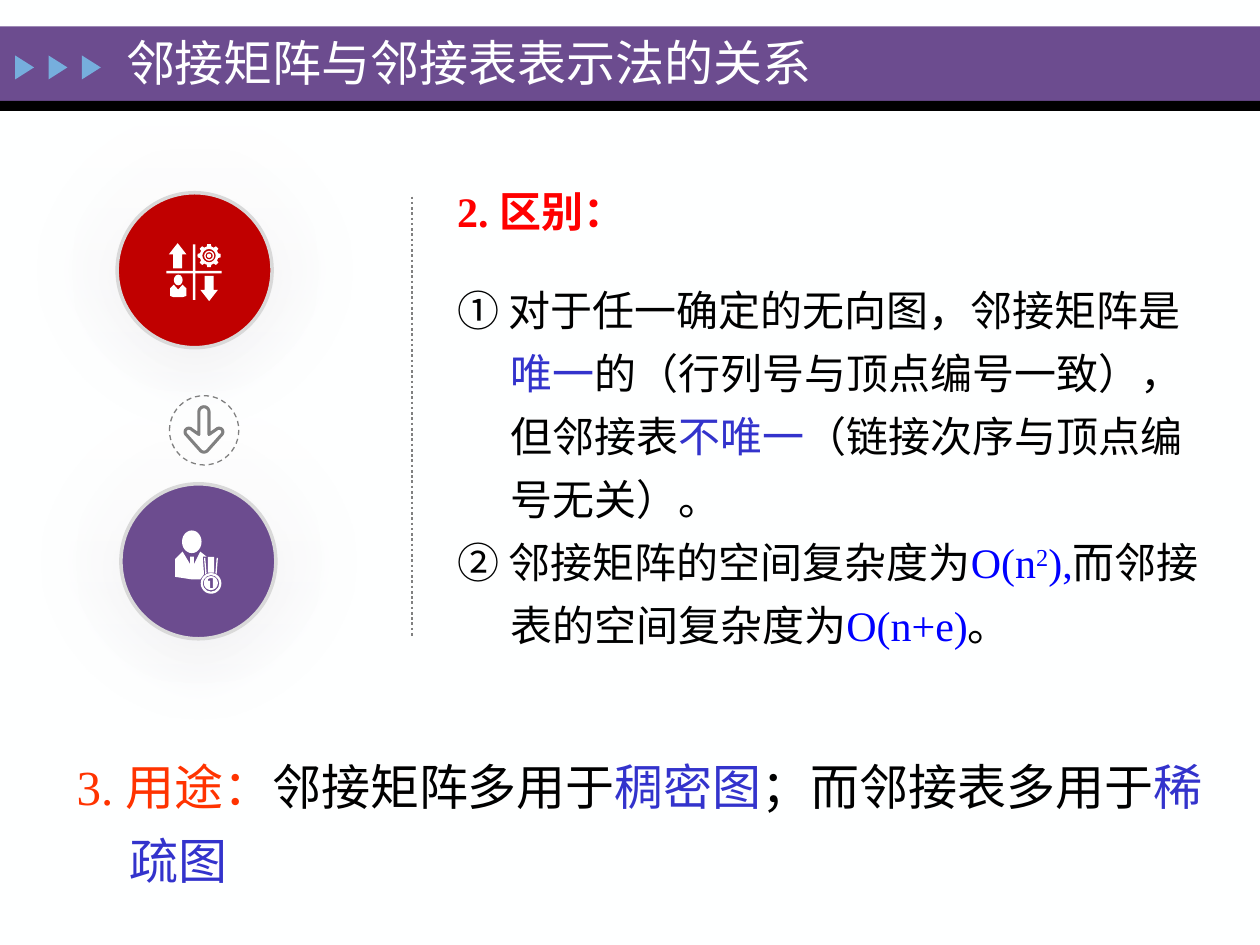
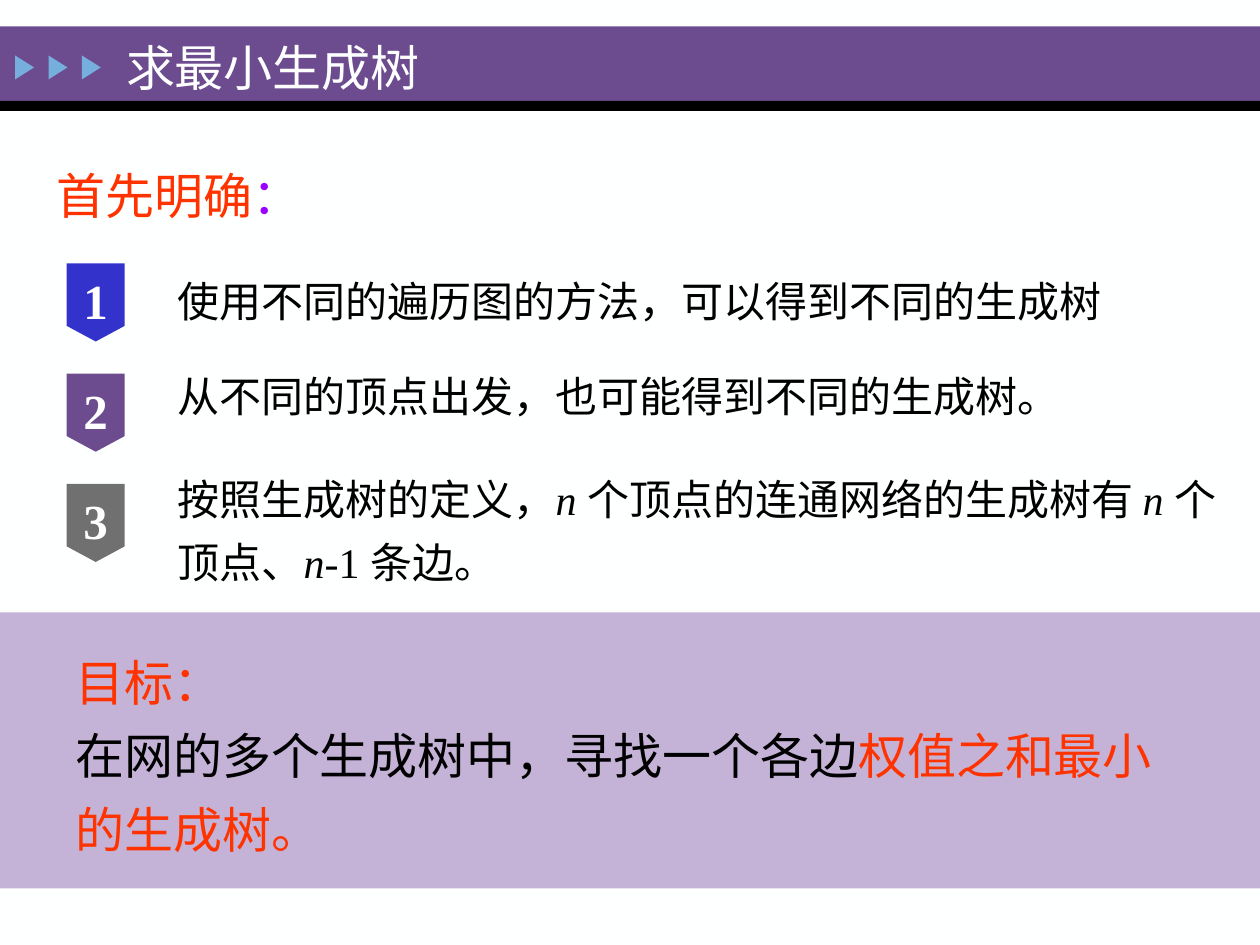
from math import cos, radians, sin

from lxml import etree
from pptx import Presentation
from pptx.dml.color import RGBColor
from pptx.enum.dml import MSO_LINE
from pptx.enum.lang import MSO_LANGUAGE_ID
from pptx.enum.shapes import MSO_CONNECTOR, MSO_SHAPE
from pptx.enum.text import MSO_ANCHOR, MSO_AUTO_SIZE, PP_ALIGN
from pptx.oxml.ns import qn
from pptx.util import Inches, Pt

RECT, OVAL, RING = MSO_SHAPE.RECTANGLE, MSO_SHAPE.OVAL, MSO_SHAPE.DONUT
UP, DOWN = MSO_SHAPE.UP_ARROW, MSO_SHAPE.DOWN_ARROW
TAG, WEDGE = MSO_SHAPE.FLOWCHART_OFFPAGE_CONNECTOR, MSO_SHAPE.ISOSCELES_TRIANGLE
STRAIGHT = MSO_CONNECTOR.STRAIGHT
DASH, DOTS = MSO_LINE.DASH, MSO_LINE.ROUND_DOT
TOP, MIDDLE = MSO_ANCHOR.TOP, MSO_ANCHOR.MIDDLE
LEFT, CENTER = PP_ALIGN.LEFT, PP_ALIGN.CENTER
FIXED = MSO_AUTO_SIZE.NONE
CHINESE = MSO_LANGUAGE_ID.SIMPLIFIED_CHINESE

FONT = "Times New Roman"
PAPER = RGBColor(0xFE, 0xFF, 0xFF)
WHITE = RGBColor(0xFF, 0xFF, 0xFF)
BLACK = RGBColor(0, 0, 0)
PURPLE = RGBColor(0x6C, 0x4C, 0x8F)
LILAC = RGBColor(0xC4, 0xB3, 0xD7)
SKY = RGBColor(0x76, 0xAE, 0xDD)
CRIMSON = RGBColor(0xC0, 0, 0)
RED = RGBColor(0xFF, 0, 0)
ORANGE = RGBColor(0xFF, 0x33, 0)
BLUE = RGBColor(0, 0, 0xFF)
INDIGO = RGBColor(0x33, 0x33, 0xCC)
VIOLET = RGBColor(0x99, 0, 0xFF)
GRAY = RGBColor(0x80, 0x80, 0x80)
SLATE = RGBColor(0x70, 0x70, 0x70)
RIM = RGBColor(0xD9, 0xD9, 0xD9)
MIST = RGBColor(0xF7, 0xF7, 0xF9)
SHADE = RGBColor(0xE4, 0xE4, 0xE4)

# The grid has 100 columns and 75 rows; every length below is in its cells.
COLS, ROWS = 100, 75


def cells(*counts):
    return [Inches(n / 10) for n in counts]


# Shapes
def paint(item, fill=None, line=None, width=1):
    item.shadow.inherit = False
    if fill is None:
        item.fill.background()
    else:
        item.fill.solid()
        item.fill.fore_color.rgb = fill
    if line is None:
        item.line.fill.background()
    else:
        item.line.color.rgb = line
        item.line.width = Pt(width)
    return item


def shape(slide, kind, box, fill=None, line=None, width=1):
    item = slide.shapes.add_shape(kind, *cells(*box))
    return paint(item, fill, line, width)


def disc(slide, x, y, r, fill=None, line=None, width=1, kind=OVAL):
    box = (x - r, y - r, 2 * r, 2 * r)
    return shape(slide, kind, box, fill, line, width)


def outline(slide, *paths, fill=WHITE, line=None, width=1):
    """Closed outline; paths after the first one cut holes."""
    paths = [[(x * 100, y * 100) for x, y in path] for path in paths]
    pen = slide.shapes.build_freeform(*paths[0][0], scale=Inches(0.001))
    for i, path in enumerate(paths):
        if i:
            pen.move_to(*path[0])
        pen.add_line_segments(path[1:], close=True)
    return paint(pen.convert_to_shape(), fill, line, width)


def arc(x, y, r, start=0, end=360, steps=16):
    turns = [radians(start + (end - start) * i / steps) for i in range(steps + 1)]
    return [(x + r * cos(t), y + r * sin(t)) for t in turns]


def halo(slide, x, y, r, edge, soft):
    item = disc(slide, x, y, r, WHITE)
    item.fill.gradient()
    item.fill.gradient_angle = 270
    for stop, color in zip(item.fill.gradient_stops, (WHITE, edge)):
        stop.color.rgb = color
    glow = item.element.spPr.find(qn("a:effectLst"))
    etree.SubElement(glow, qn("a:softEdge"), rad=str(cells(soft)[0]))


def badge(slide, x, y, fill):
    halo(slide, x, y, 13, MIST, 3)
    halo(slide, x, y, 10.75, SHADE, 4)
    disc(slide, x, y, 6.15, fill, RIM, 2)


# Text: a paragraph is a list of runs (text, colour, style)
def write(item, paras, size, hang=0, spacing=1.25, gaps=(), anchor=TOP,
          align=LEFT, bold=None):
    frame = item.text_frame
    frame.word_wrap = True
    frame.auto_size = FIXED
    frame.vertical_anchor = anchor
    for i, runs in enumerate(paras):
        para = frame.add_paragraph() if i else frame.paragraphs[0]
        props = para._p.get_or_add_pPr()
        props.set("marL", str(cells(hang)[0]))
        props.set("indent", str(cells(-hang)[0]))
        etree.SubElement(props, qn("a:buNone"))
        para.alignment = align
        para.line_spacing = spacing
        para.space_before = Pt(gaps[i - 1] if i and gaps else 0)
        para.font.name = FONT
        para.font.size = Pt(size)
        para.font.bold = bold
        for text, color, *style in runs:
            run = para.add_run()
            run.text = text
            run.font.language_id = CHINESE
            run.font.color.rgb = color
            if "italic" in style:
                run.font.italic = True
            if "super" in style:
                run._r.get_or_add_rPr().set("baseline", "30000")


def note(slide, box, paras, size, **look):
    write(slide.shapes.add_textbox(*cells(*box)), paras, size, **look)


def place(item, box):
    item.left, item.top, item.width, item.height = cells(*box)
    return item


def head(slide, text, top, width):
    title = place(slide.shapes.title, (9, top, width, 5.6))
    write(title, [[(text, PAPER)]], 28, spacing=1, anchor=MIDDLE)


# Shared band, kept on the layout
def band(deck, layout):
    layout.background.fill.solid()
    layout.background.fill.fore_color.rgb = PAPER
    slide = deck.slides[0]
    parts = [shape(slide, RECT, (0, 2.1, COLS, 5.9), PURPLE),
             shape(slide, RECT, (0, 8, COLS, 0.8), BLACK)]
    for i in range(3):
        wedge = shape(slide, WEDGE, (1 + 2.65 * i, 4.6, 1.9, 1.5), SKY)
        wedge.rotation = 90
        parts.append(wedge)
    for i, part in enumerate(parts):
        layout.shapes.element.insert(2 + i, part.element)


# Icons
def swap_icon(slide):
    shape(slide, RECT, (15.3, 19.4, 0.2, 4.4), WHITE)
    shape(slide, RECT, (13.2, 21.5, 4.4, 0.2), WHITE)
    for kind, x, y in ((UP, 13.4, 19.3), (DOWN, 15.9, 21.9)):
        arrow = shape(slide, kind, (x, y, 1.4, 2), WHITE)
        arrow.adjustments[0] = 0.5
        arrow.adjustments[1] = 0.64
    x, y = 16.6, 20.3
    teeth = []
    for turn in range(0, 360, 45):
        teeth += arc(x, y, 0.92, turn - 9, turn + 9, 2)
        teeth += arc(x, y, 0.74, turn + 14, turn + 31, 2)
    outline(slide, teeth, arc(x, y, 0.53))
    disc(slide, x, y, 0.4, WHITE, kind=RING).adjustments[0] = 0.14
    disc(slide, x, y, 0.17, WHITE)
    shape(slide, OVAL, (13.8, 21.8, 0.7, 0.85), WHITE)
    outline(slide, [(13.5, 22.9), (13.8, 22.6), (14.15, 23), (14.5, 22.6),
                    (14.8, 22.9), (14.8, 23.5), (14.5, 23.6), (13.8, 23.6),
                    (13.5, 23.5)])


def medal_icon(slide):
    shape(slide, OVAL, (14.45, 42.1, 1.55, 1.8), WHITE)
    outline(slide, [(13.9, 44.4), (14.5, 43.8), (15.1, 44.8), (15.1, 44.2),
                    (15.4, 44.2), (15.4, 44.8), (15.9, 43.8), (16.4, 44.2),
                    (16.1, 44.2), (16.2, 45.6), (15.9, 46), (15.2, 46),
                    (13.9, 45.8)])
    outline(slide, [(16.2, 44.3), (16.3, 44.3), (16.4, 45.5), (16.3, 45.6)])
    outline(slide, [(17.2, 44.3), (17.3, 44.3), (17.2, 45.6), (17.1, 45.5)])
    shape(slide, RECT, (16.5, 44.2, 0.5, 1.25), WHITE)
    x, y = 16.75, 46.3
    disc(slide, x, y, 0.82, WHITE, kind=RING).adjustments[0] = 0.1
    one = [(16.7, 46.7), (16.9, 46.7), (16.9, 45.9), (16.7, 45.9),
           (16.5, 46), (16.55, 46.15), (16.7, 46.1)]
    outline(slide, arc(x, y, 0.56), one)


def down_icon(slide):
    disc(slide, 16.2, 34.15, 2.75, line=GRAY, width=0.75).line.dash_style = DASH
    path = arc(16.2, 32.7, 0.4, 180, 360) + [(16.6, 34.5)]
    path += arc(17.4, 34.3, 0.3, 225, 405) + arc(16.2, 35.5, 0.4, 45, 135)
    path += arc(15, 34.3, 0.3, 135, 315) + [(15.8, 34.5)]
    outline(slide, path, fill=None, line=GRAY, width=1.75)


# Slides
def compare(slide):
    head(slide, "邻接矩阵与邻接表表示法的关系", 2.1, 85)
    body = place(slide.placeholders[1], (35.3, 21.1, 61.4, 31.3))
    write(body, [
        [("① 对于任一确定的无向图，邻接矩阵是", BLACK), ("唯一", INDIGO),
         ("的（行列号与顶点编号一致），但邻接表", BLACK), ("不唯一", INDIGO),
         ("（链接次序与顶点编号无关）。", BLACK)],
        [("② 邻接矩阵的空间复杂度为", BLACK), ("O(n", BLUE),
         ("2", BLUE, "super"), ("),", BLUE), ("而邻接表的空间复杂度为", BLACK),
         ("O(n+e)", BLUE), ("。", BLACK)],
    ], 24, hang=4.2)
    badge(slide, 15.45, 21.45, CRIMSON)
    badge(slide, 15.75, 44.55, PURPLE)
    swap_icon(slide)
    medal_icon(slide)
    down_icon(slide)
    note(slide, (35.3, 14.2, 48.7, 5.1), [[("2. 区别：", RED)]], 24,
         spacing=1, bold=True)
    rule = slide.shapes.add_connector(STRAIGHT, *cells(32.7, 15.6, 32.7, 50.6))
    rule.line.color.rgb = GRAY
    rule.line.width = Pt(1.5)
    rule.line.dash_style = DOTS
    etree.SubElement(rule.element.spPr, qn("a:effectLst"))
    note(slide, (5.1, 58.4, 94, 12.3), [
        [("3. 用途：", ORANGE), ("邻接矩阵多用于", BLACK), ("稠密图", INDIGO),
         ("；而邻接表多用于", BLACK), ("稀疏图", INDIGO)]], 28, hang=4.2)


def spanning(slide):
    head(slide, "求最小生成树", 2.5, 55.9)
    shape(slide, RECT, (0, 48.6, COLS, 21.9), LILAC)
    note(slide, (3.5, 11.5, 94.7, 6.4),
         [[("首先明确", ORANGE), ("：", VIOLET)]], 28, hang=4.2)
    note(slide, (5, 50.1, 90, 18.7), [
        [("目标：", ORANGE)],
        [("在网的多个生成树中，寻找一个各边", BLACK),
         ("权值之和最小的生成树。", ORANGE)]], 28)
    body = place(slide.placeholders[1], (13.1, 20.4, 84.5, 27.4))
    write(body, [
        [("使用不同的遍历图的方法，可以得到不同的生成树", BLACK)],
        [("从不同的顶点出发，也可能得到不同的生成树。", BLACK)],
        [("按照生成树的定义，", BLACK), ("n ", BLACK, "italic"),
         ("个顶点的连通网络的生成树有 ", BLACK), ("n ", BLACK, "italic"),
         ("个顶点、", BLACK), ("n-", BLACK, "italic"), ("1 条边。", BLACK)],
    ], 24, gaps=(18, 23))
    for i, color in enumerate((INDIGO, PURPLE, SLATE)):
        tag = shape(slide, TAG, (5.3, 20.9 + 8.75 * i, 4.6, 6.2), color)
        frame = tag.text_frame
        frame.margin_left = frame.margin_right = frame.margin_bottom = 0
        frame.margin_top = cells(0.8)[0]
        write(tag, [[(str(i + 1), WHITE)]], 28, spacing=1, anchor=MIDDLE,
              align=CENTER, bold=True)


def main():
    deck = Presentation()
    deck.slide_width, deck.slide_height = cells(COLS, ROWS)
    layout = deck.slide_layouts[1]
    pages = [deck.slides.add_slide(layout) for _ in range(2)]
    band(deck, layout)
    for build, page in zip((compare, spanning), pages):
        build(page)
    deck.save("out.pptx")


if __name__ == "__main__":
    main()
